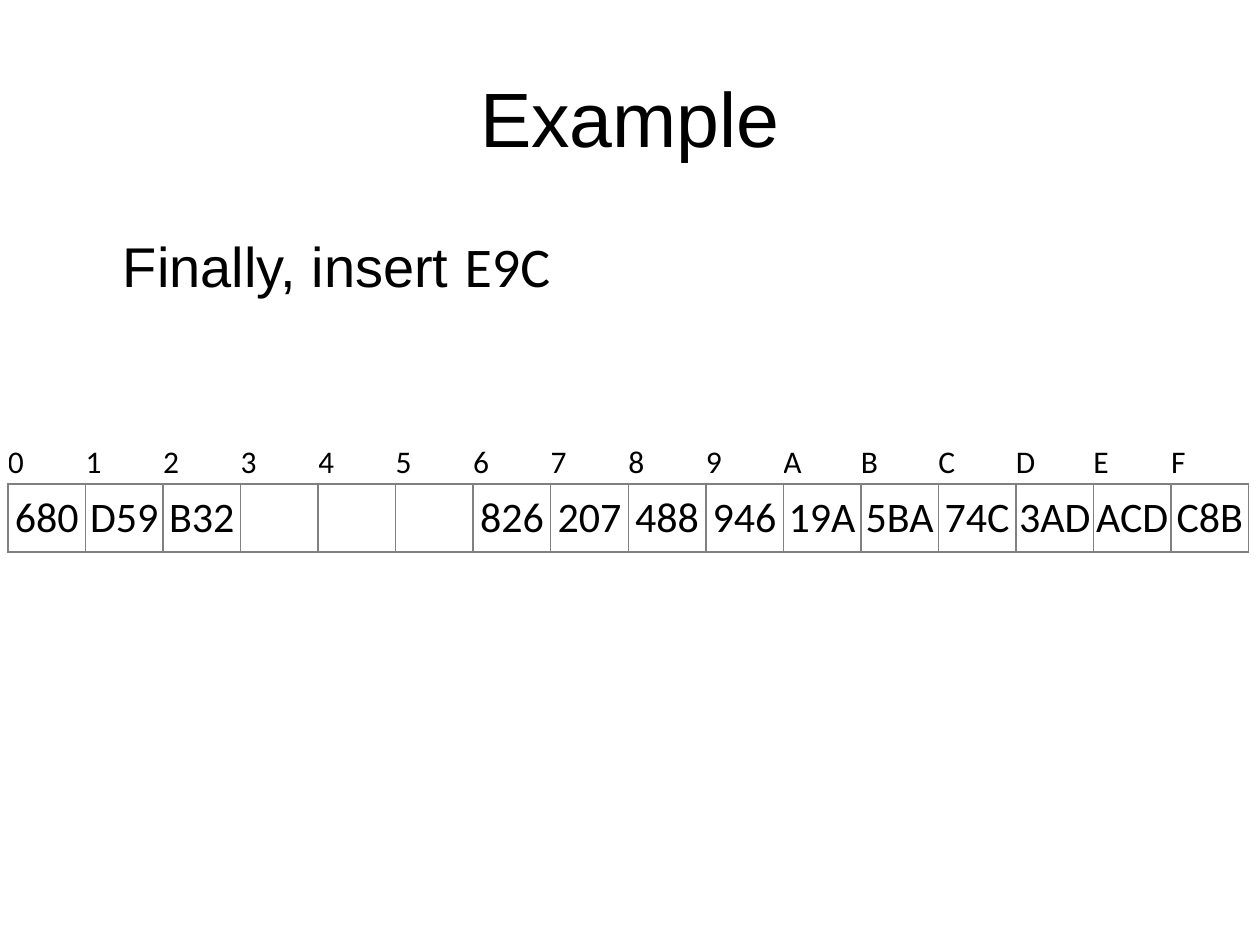
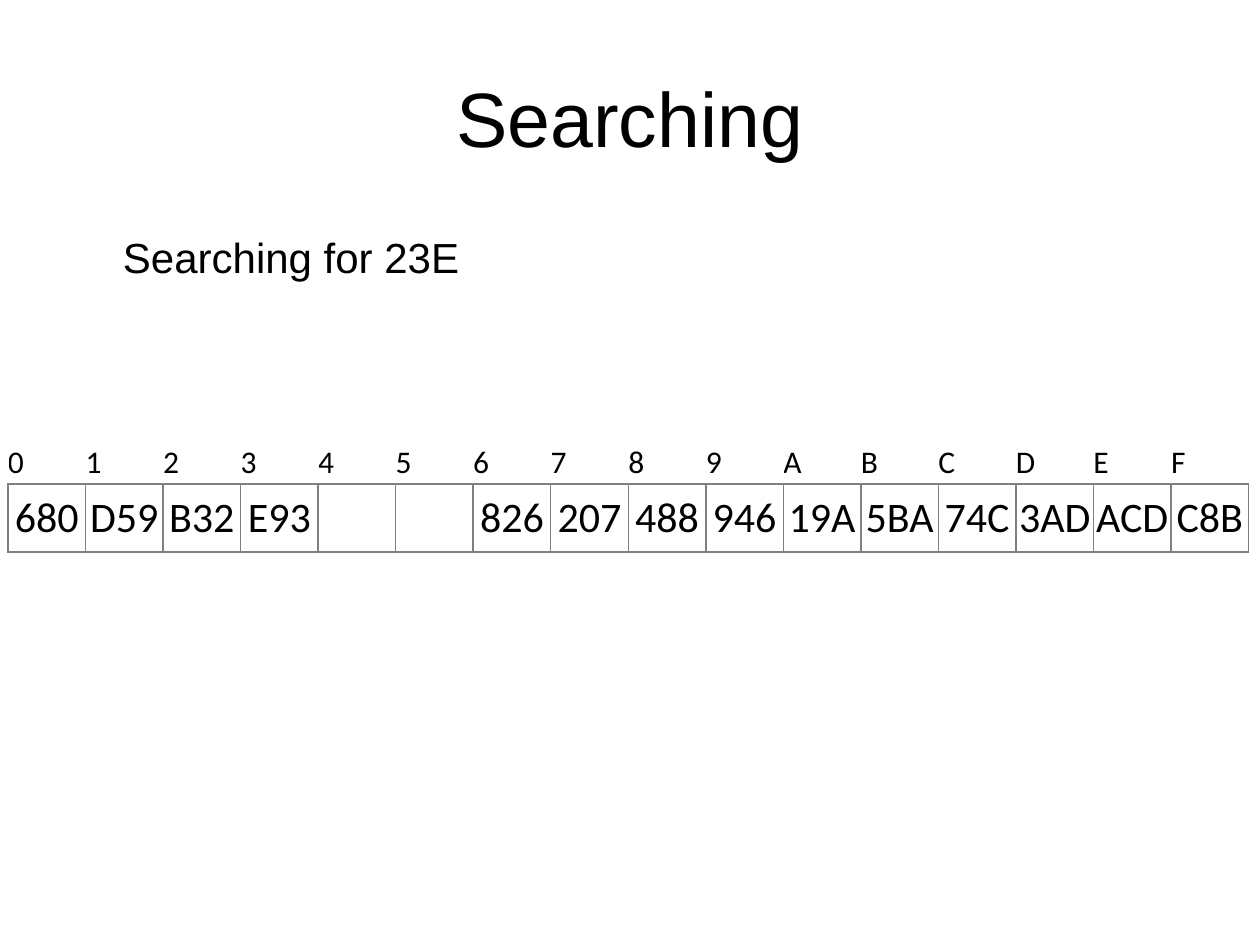
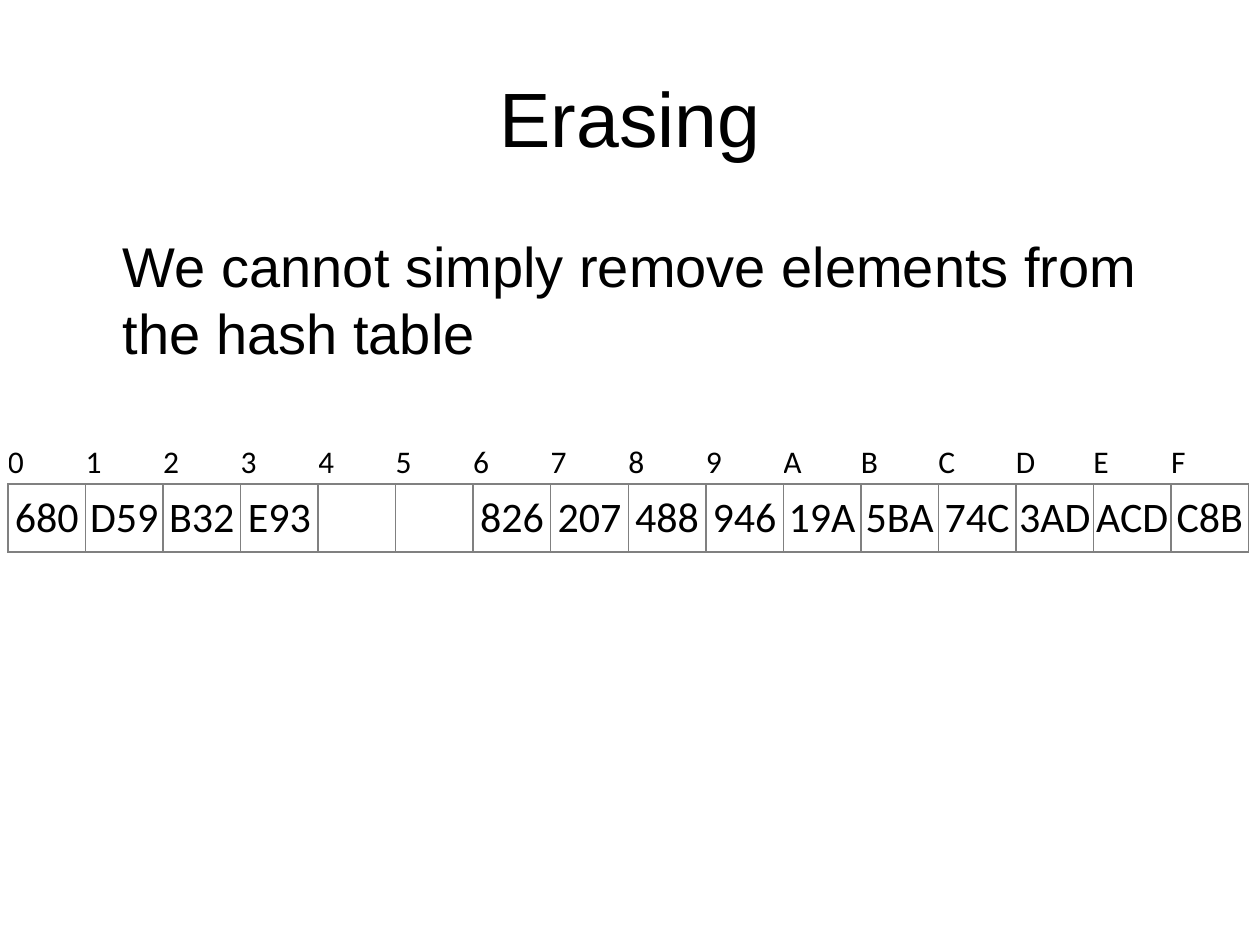
"""Build three slides on a hash table: inserting, searching and erasing."""
from pptx import Presentation
from pptx.dml.color import RGBColor
from pptx.enum.text import MSO_ANCHOR as ANCHOR, PP_ALIGN as ALIGN
from pptx.oxml import parse_xml
from pptx.oxml.ns import nsdecls
from pptx.util import Emu, Pt

BLACK = RGBColor(0x00, 0x00, 0x00)
GRAY = RGBColor(0x80, 0x80, 0x80)
WHITE = RGBColor(0xFF, 0xFF, 0xFF)
SANS, MONO = "Arial", "Calibri"
BINS = "0123456789ABCDEF"
KEYS = "680 D59 B32 - - - 826 207 488 946 19A 5BA 74C 3AD ACD C8B".split()
FILLED = KEYS[:3] + ["E93"] + KEYS[4:]
SLIDES = [
    ("Example", [("Finally, insert ", SANS), ("E9C", MONO)], 32, KEYS),
    ("Searching", [("Searching for 23E", SANS)], 24, FILLED),
    ("Erasing", [("We cannot simply remove elements from the hash table", SANS)], 32, FILLED),
]


def px(n):
    return Emu(round(n * 914400 / 126))


def style(p, name, size, align=ALIGN.LEFT):
    p.alignment = align
    p.font.size = Pt(size)
    p.font.color.rgb = BLACK
    if name:
        p.font.name = name


prs = Presentation()
prs.slide_width, prs.slide_height = px(1260), px(945)

for title, runs, size, keys in SLIDES:
    s = prs.slides.add_slide(prs.slide_layouts[6])
    s.background.fill.solid()
    s.background.fill.fore_color.rgb = WHITE

    tf = s.shapes.add_textbox(px(63), px(38), px(1134), px(158)).text_frame
    tf.word_wrap = True
    tf.vertical_anchor = ANCHOR.MIDDLE
    p = tf.paragraphs[0]
    p.text = title
    style(p, SANS, 44, ALIGN.CENTER)

    tf = s.shapes.add_textbox(px(63), px(220), px(1134), px(624)).text_frame
    tf.word_wrap = True
    tf.margin_left, tf.margin_top = px(60), px(11)
    p = tf.paragraphs[0]
    style(p, None, size)
    for text, name in runs:
        r = p.add_run()
        r.text = text
        r.font.name = name
        r.font.size = Pt(size)
        r.font.color.rgb = BLACK

    table = s.shapes.add_table(2, len(BINS), px(8), px(442), px(1241), px(110)).table
    table.first_row = table.horz_banding = False
    table.rows[0].height, table.rows[1].height = px(42), px(68)
    rows = [(BINS, 18, ALIGN.LEFT, ["lnB"]),
            (keys, 24, ALIGN.CENTER, ["lnL", "lnR", "lnT", "lnB"])]
    for i, (texts, cell_size, align, edges) in enumerate(rows):
        for j, text in enumerate(texts):
            cell = table.cell(i, j)
            cell.margin_left = cell.margin_right = cell.margin_top = cell.margin_bottom = 0
            cell.vertical_anchor = ANCHOR.MIDDLE
            cell.text = text.strip("-")
            style(cell.text_frame.paragraphs[0], MONO, cell_size, align)
            tcPr = cell._tc.get_or_add_tcPr()
            for edge in edges:
                tcPr.append(parse_xml(
                    f'<a:{edge} {nsdecls("a")} w="{Pt(1)}"><a:solidFill>'
                    f'<a:srgbClr val="{GRAY}"/></a:solidFill></a:{edge}>'))
            cell.fill.background()

prs.save("out.pptx")
